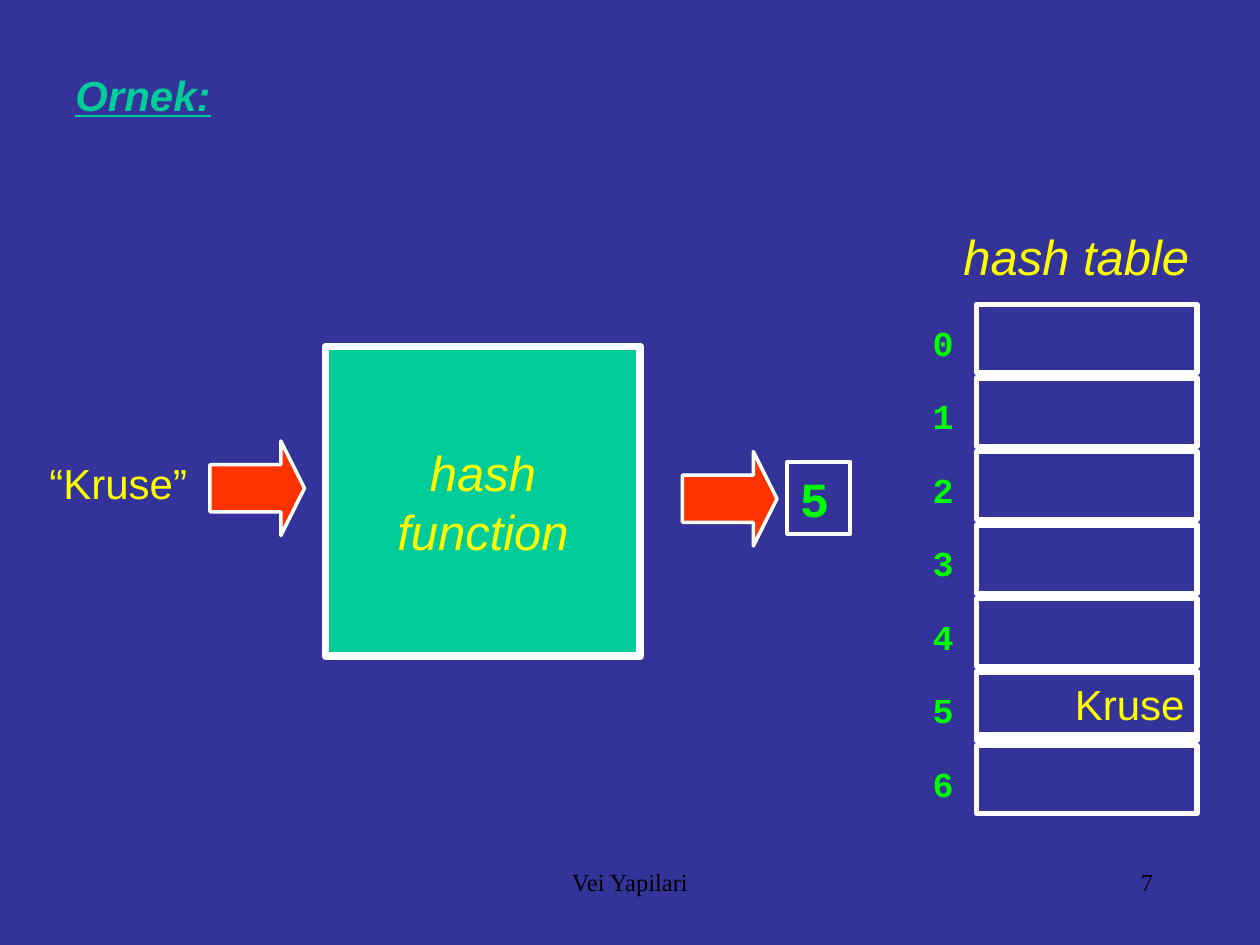
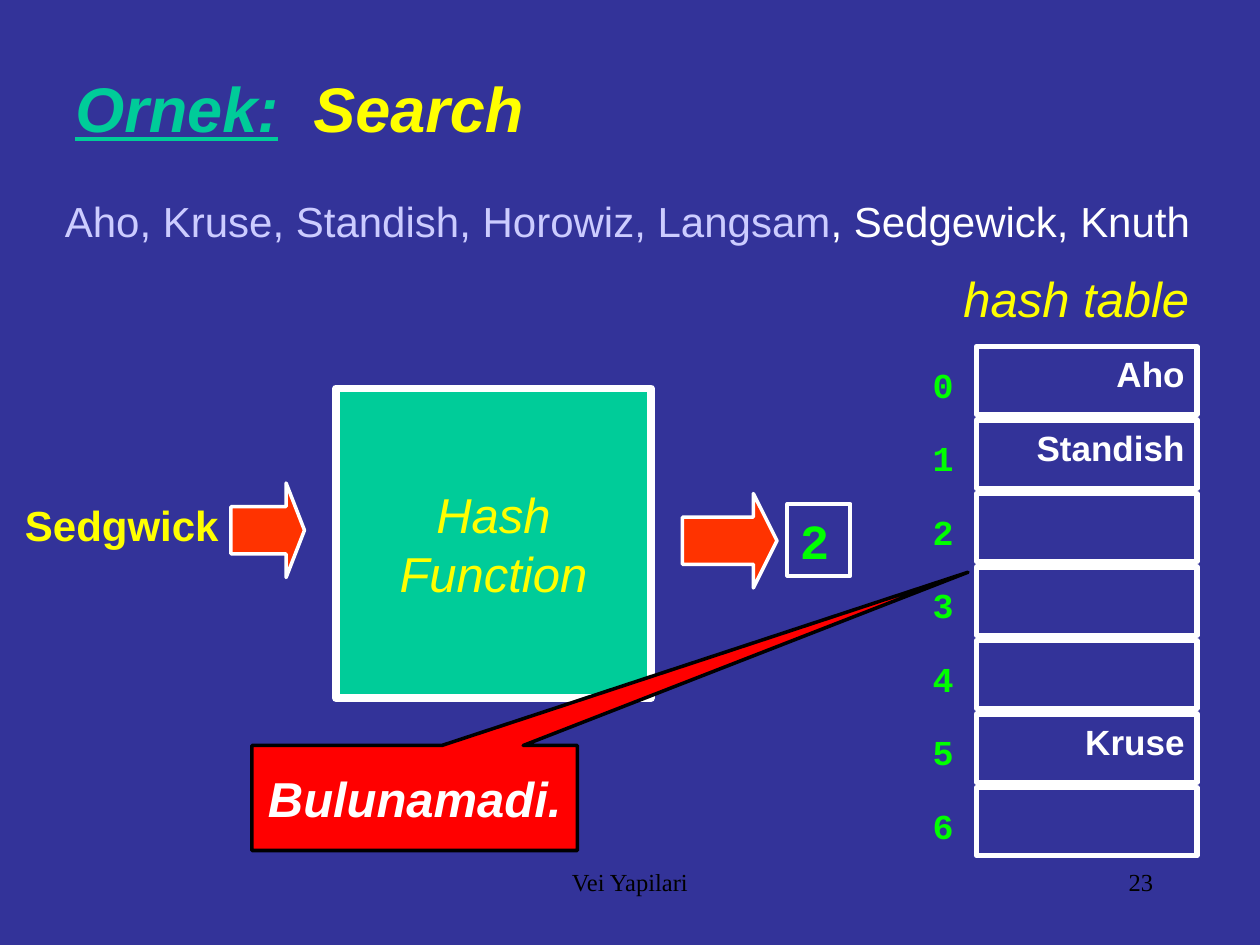
import pptx
import pptx.util
import pptx.dml.color
import pptx.enum.shapes
import pptx.enum.text
from lxml import etree

Pt = pptx.util.Pt
RGBColor = pptx.dml.color.RGBColor
SHAPE = pptx.enum.shapes.MSO_SHAPE
ALIGN = pptx.enum.text.PP_ALIGN
ANCHOR = pptx.enum.text.MSO_ANCHOR

NAVY = RGBColor(0x33, 0x33, 0x99)
TEAL = RGBColor(0x00, 0xCC, 0x99)
YELLOW = RGBColor(0xFF, 0xFF, 0x00)
GREEN = RGBColor(0x00, 0xFF, 0x00)
ORANGE = RGBColor(0xFF, 0x33, 0x00)
RED = RGBColor(0xFF, 0x00, 0x00)
LILAC = RGBColor(0xCC, 0xCC, 0xFF)
WHITE = RGBColor(0xFF, 0xFF, 0xFF)
BLACK = RGBColor(0x00, 0x00, 0x00)

SANS, MONO, SERIF = "Arial", "Courier New", "Times New Roman"
ROWS, PITCH, CELL = 7, 42, 39


def run(text, size, color, font=SANS, bold=False, italic=False, under=False):
    return text, size, color, font, bold, italic, under


def write(shape, runs, align=ALIGN.LEFT, wrap=True, anchor=ANCHOR.TOP, top=3.6):
    frame = shape.text_frame
    frame.word_wrap = wrap
    frame.vertical_anchor = anchor
    frame.margin_left = frame.margin_right = Pt(7.2)
    frame.margin_top, frame.margin_bottom = Pt(top), Pt(3.6)
    para = frame.paragraphs[0]
    para.alignment = align
    for text, size, color, font, bold, italic, under in runs:
        part = para.add_run()
        part.text = text
        part.font.size = Pt(size)
        part.font.name = font
        part.font.color.rgb = color
        part.font.bold, part.font.italic, part.font.underline = bold, italic, under


def label(slide, box, runs, align=ALIGN.LEFT):
    shape = slide.shapes.add_textbox(*map(Pt, box))
    write(shape, runs, align)
    return shape


def block(slide, kind, box, width, fill=None, edge=WHITE):
    shape = slide.shapes.add_shape(kind, *map(Pt, box))
    shape.shadow.inherit = False
    if fill is None:
        shape.fill.background()
    else:
        shape.fill.solid()
        shape.fill.fore_color.rgb = fill
    shape.line.color.rgb = edge
    shape.line.width = Pt(width)
    return shape


def arrow(slide, box):
    shape = block(slide, SHAPE.RIGHT_ARROW, box, 2, ORANGE)
    shape.adjustments[0] = 0.5
    shape.adjustments[1] = 0.5 * min(box[2:]) / box[3] if box[2] == box[3] else 0.25
    shape.adjustments[1] = 0.25


def title(slide, size, high, topic=None):
    runs = [run("Ornek:", size, TEAL, bold=True, italic=True, under=True)]
    if topic:
        runs.append(run("\t", size, YELLOW))
        runs.append(run(topic, size, YELLOW, bold=True, italic=True))
    shape = label(slide, (36, 36, 648, high), runs)
    if topic:
        props = shape.text_frame.paragraphs[0]._p.get_or_add_pPr()
        space = props.nsmap["a"]
        stops = etree.SubElement(props, f"{{{space}}}tabLst")
        etree.SubElement(stops, f"{{{space}}}tab", pos=str(Pt(136)), algn="l")


def table(slide, left, top, words, size, color, bold, edge=None):
    label(slide, (left - 24, top - 48, 162, 41),
          [run("hash table", 28, YELLOW, italic=True)], ALIGN.CENTER)
    for row in range(ROWS):
        y = top + row * PITCH
        block(slide, SHAPE.RECTANGLE, (left, y, 126, CELL), 3)
        label(slide, (left - 66, y + 6, 60, 32),
              [run(str(row), 20, GREEN, MONO, bold=True)], ALIGN.RIGHT)
        if row in words:
            box = (left, y, 126, 36)
            runs = [run(words[row], size, color, bold=bold)]
            if edge:
                write(block(slide, SHAPE.RECTANGLE, box, edge), runs, ALIGN.RIGHT)
            else:
                label(slide, box, runs, ALIGN.RIGHT)


def flow(slide, top, key, wide, bold, name, left, code):
    label(slide, (6, top + 84, wide, 36), [run(key, 24, YELLOW, bold=bold)], ALIGN.RIGHT)
    start = wide + 6 if bold else wide + 12
    arrow(slide, (start, top + 78, 174 - start, 54))
    arrow(slide, (390, top + 84, 54, 54))
    box = block(slide, SHAPE.RECTANGLE, (left, top + 24, 180, 177), 4.5, TEAL)
    write(box, [run(name, 28, YELLOW, italic=True)], ALIGN.CENTER, top=54.7)
    out = block(slide, SHAPE.RECTANGLE, (450, top + 90, 36, 41), 2.25)
    write(out, [run(code, 28, GREEN, MONO, bold=True)])


def callout(slide, box, text):
    shape = block(slide, SHAPE.RECTANGULAR_CALLOUT, box, 2, RED, BLACK)
    shape.adjustments[0], shape.adjustments[1] = 1.7, -2.15
    write(shape, [run(text, 28, WHITE, bold=True, italic=True)],
          ALIGN.CENTER, wrap=False, anchor=ANCHOR.MIDDLE)


def footer(slide, page):
    label(slide, (246, 492, 228, 36), [run("Vei Yapilari", 14, BLACK, SERIF)], ALIGN.CENTER)
    label(slide, (516, 492, 150, 36), [run(page, 14, BLACK, SERIF)], ALIGN.RIGHT)


def insert(slide):
    top = 174
    title(slide, 24, 36)
    flow(slide, top, "“Kruse”", 108, False, "hash function", 186, "5")
    table(slide, 558, top, {5: "Kruse"}, 24, YELLOW, False, edge=3)
    footer(slide, "7")


def search(slide):
    top = 198
    title(slide, 36, 50, "Search")
    label(slide, (30, 108, 666, 36),
          [run("Aho, Kruse, Standish, Horowiz, Langsam", 24, LILAC),
           run(", Sedgewick, Knuth", 24, WHITE)])
    flow(slide, top, "Sedgwick", 126, True, "Hash Function", 192, "2")
    table(slide, 558, top, {0: "Aho", 1: "Standish", 5: "Kruse"}, 20, WHITE, True)
    callout(slide, (144, 426, 186, 60), "Bulunamadi.")
    footer(slide, "23")


def main():
    deck = pptx.Presentation()
    deck.slide_width, deck.slide_height = Pt(720), Pt(540)
    back = deck.slide_master.background.fill
    back.solid()
    back.fore_color.rgb = NAVY
    for build in (insert, search):
        build(deck.slides.add_slide(deck.slide_layouts[6]))
    deck.save("out.pptx")


if __name__ == "__main__":
    main()
